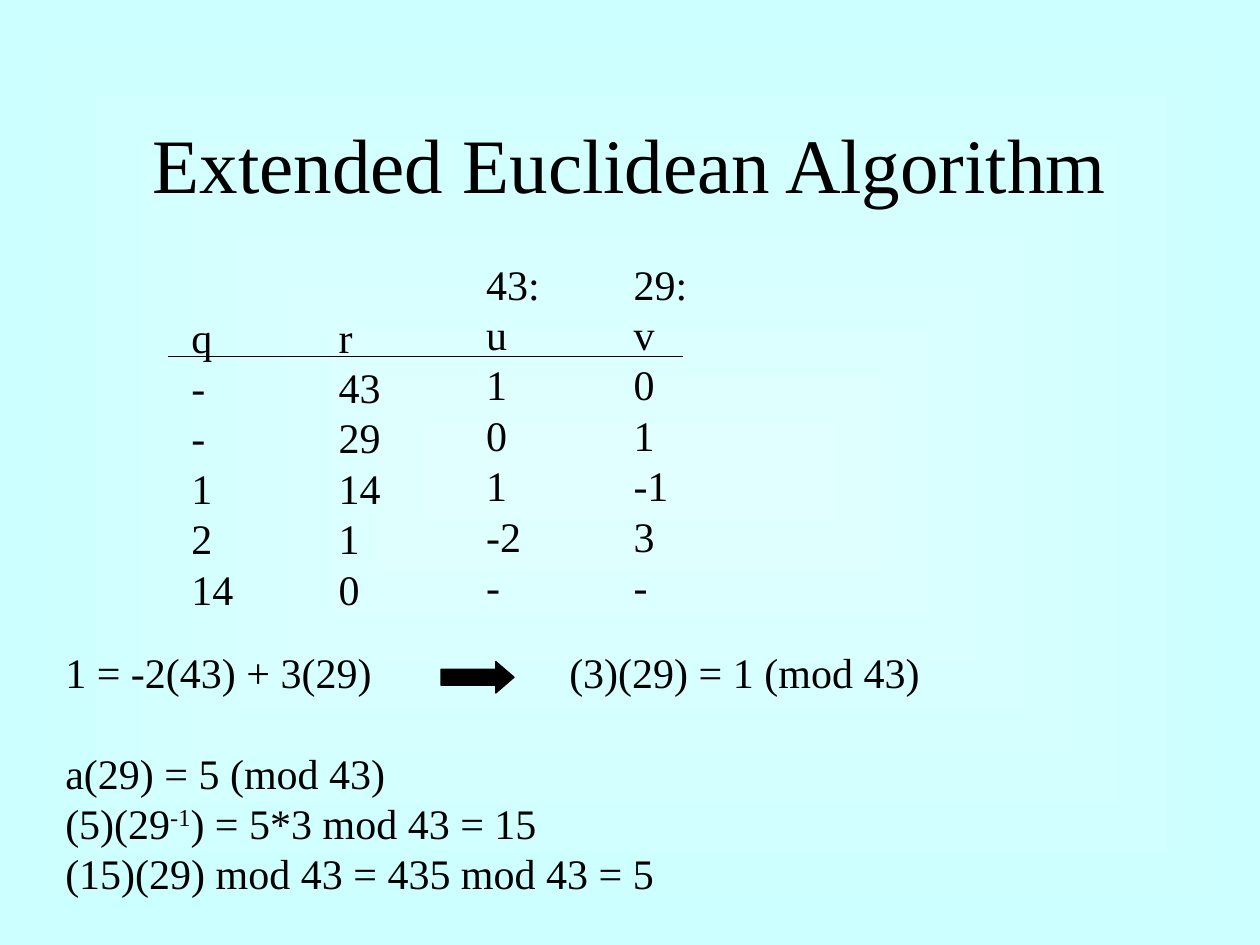
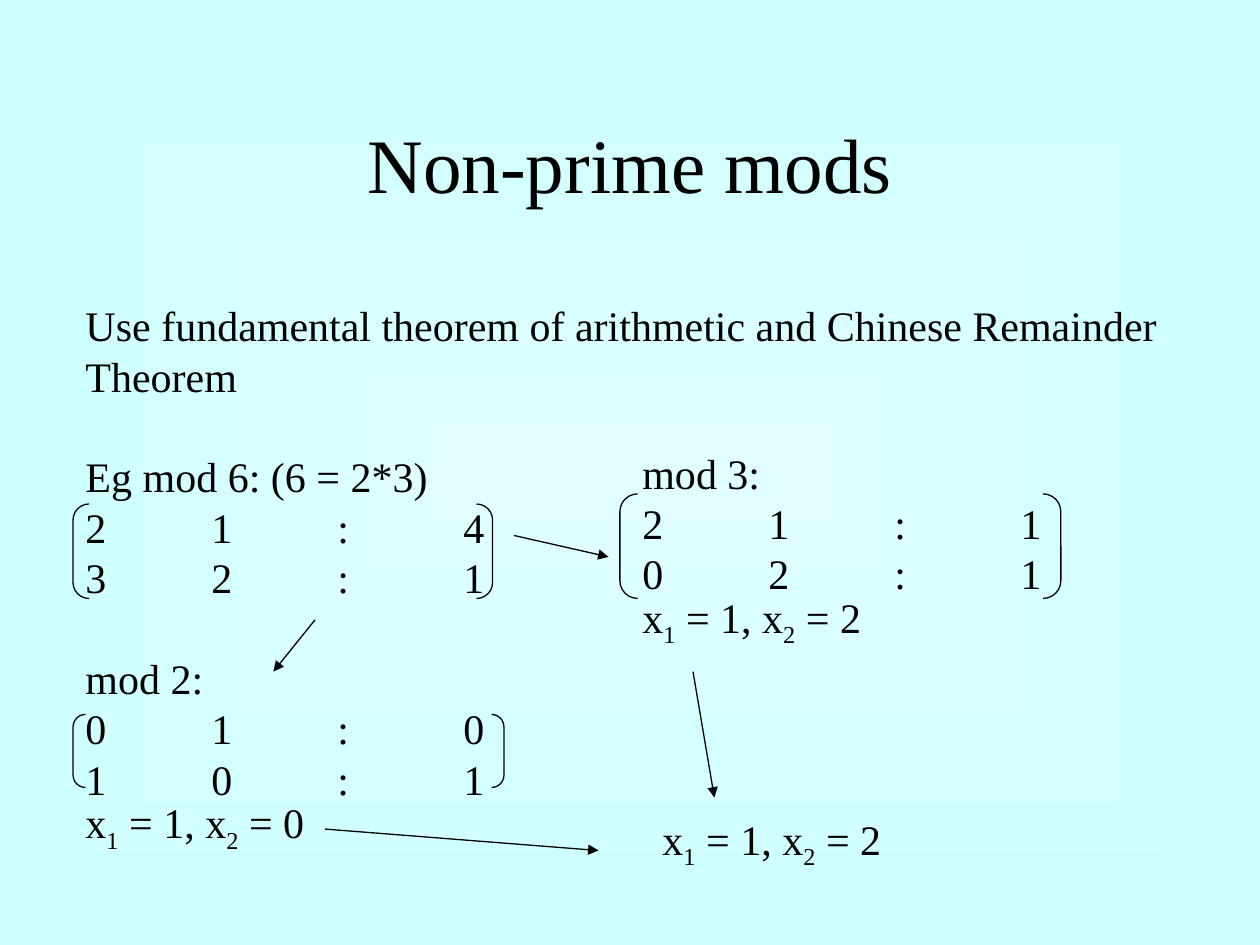
from dataclasses import dataclass

from lxml.etree import SubElement
from pptx import Presentation
from pptx.dml.color import RGBColor
from pptx.enum.shapes import MSO_CONNECTOR, MSO_SHAPE
from pptx.enum.text import MSO_ANCHOR, PP_ALIGN
from pptx.oxml.ns import qn
from pptx.util import Inches, Pt


@dataclass(frozen=True)
class Theme:
    ink: RGBColor = RGBColor(0x00, 0x00, 0x00)
    glow: RGBColor = RGBColor(0xE1, 0xFF, 0xFF)
    edge: RGBColor = RGBColor(0xCC, 0xFF, 0xFF)
    face: str = "Times New Roman"
    title: Pt = Pt(44)
    body: Pt = Pt(24)
    pitch: Pt = Pt(28.8)
    rule: Pt = Pt(0.75)


THEME = Theme()
SUB, SUPER = -25000, 30000


def inches(values):
    return [Inches(value) for value in values]


def paint_back(master):
    """Give every slide a gradient that glows from the centre."""
    fill = master.background.fill
    fill.gradient()
    for stop, color in zip(fill.gradient_stops, (THEME.glow, THEME.edge)):
        stop.color.rgb = color
    grad = master.element.find(".//" + qn("p:bg")).find(".//" + qn("a:gradFill"))
    grad.remove(grad.find(qn("a:lin")))
    shade = SubElement(grad, qn("a:path"), path="rect")
    SubElement(shade, qn("a:fillToRect"), l="50000", t="50000", r="50000", b="50000")


def style(run, size):
    run.font.name = THEME.face
    run.font.size = size
    run.font.color.rgb = THEME.ink


def add_slide(deck, title):
    slide = deck.slides.add_slide(deck.slide_layouts[5])
    head = slide.shapes.title
    head.left, head.top, head.width, head.height = inches((0.75, 0.67, 8.5, 1.25))
    frame = head.text_frame
    frame.text = title
    frame.vertical_anchor = MSO_ANCHOR.MIDDLE
    frame.paragraphs[0].alignment = PP_ALIGN.CENTER
    style(frame.paragraphs[0].runs[0], THEME.title)
    return slide


def add_tabs(para, count=4):
    """Set left tab stops one inch apart."""
    tabs = SubElement(para._p.get_or_add_pPr(), qn("a:tabLst"))
    for stop in range(1, count + 1):
        SubElement(tabs, qn("a:tab"), pos=str(Inches(stop)), algn="l")


def add_text(slide, box, lines, gaps=()):
    """Write lines, each a string or (text, baseline) parts; gaps lists lines set apart."""
    frame = slide.shapes.add_textbox(*inches(box)).text_frame
    frame.word_wrap = True
    for index, line in enumerate(lines):
        para = frame.add_paragraph() if index else frame.paragraphs[0]
        add_tabs(para)
        para.line_spacing = THEME.pitch
        para.space_before = THEME.pitch if index in gaps else Pt(0)
        parts = [(line, 0)] if isinstance(line, str) else line
        for text, shift in parts:
            run = para.add_run()
            run.text = text
            style(run, THEME.body)
            if shift:
                run._r.get_or_add_rPr().set("baseline", str(shift))


def roots(first, second):
    return [("x", 0), ("1", SUB), (f" = {first}, x", 0), ("2", SUB), (f" = {second}", 0)]


def add_line(slide, start, end, arrow=False):
    line = slide.shapes.add_connector(MSO_CONNECTOR.STRAIGHT, *inches(start + end))
    line.line.color.rgb = THEME.ink
    line.line.width = THEME.rule
    if arrow:
        SubElement(line.line._get_or_add_ln(), qn("a:tailEnd"), type="triangle")
    SubElement(line._element.spPr, qn("a:effectLst"))


def add_shape(slide, kind, box, tweaks, solid=False):
    shape = slide.shapes.add_shape(kind, *inches(box))
    shape.shadow.inherit = False
    for index, tweak in enumerate(tweaks):
        shape.adjustments[index] = tweak
    if solid:
        shape.fill.solid()
        shape.fill.fore_color.rgb = THEME.ink
    else:
        shape.fill.background()
    shape.line.color.rgb = THEME.ink
    shape.line.width = THEME.rule


def add_euclid(deck):
    slide = add_slide(deck, "Extended Euclidean Algorithm")
    columns = (
        (2.42, "q - - 1 2 14"),
        (2.42, "r 43 29 14 1 0"),
        (2, "43: u 1 0 1 -2 -"),
        (2, "29: v 0 1 -1 3 -"),
    )
    for index, (top, cells) in enumerate(columns):
        lines = cells.split()
        add_text(slide, (1.42 + index * 1.17, top, 0.8, 0.1 + 0.4 * len(lines)), lines)
    add_line(slide, (1.33, 2.83), (5.42, 2.83))
    proof = (
        "1 = -2(43) + 3(29)\t\t(3)(29) = 1 (mod 43)",
        "a(29) = 5 (mod 43)",
        [("(5)(29", 0), ("-1", SUPER), (") = 5*3 mod 43 = 15", 0)],
        "(15)(29) mod 43 = 435 mod 43 = 5",
    )
    add_text(slide, (0.42, 5.08, 7.2, 2.1), proof, gaps=(1,))
    add_shape(slide, MSO_SHAPE.RIGHT_ARROW, (3.5, 5.25, 0.58, 0.25), (0.5, 0.58), solid=True)


def add_mods(deck):
    slide = add_slide(deck, "Non-prime mods")
    split = (
        "Use fundamental theorem of arithmetic and Chinese Remainder Theorem",
        "Eg mod 6: (6 = 2*3)",
        "2\t1\t:\t4",
        "3\t2\t:\t1",
        "mod 2:",
        "0\t1\t:\t0",
        "1\t0\t:\t1",
        roots(1, 0),
    )
    add_text(slide, (0.58, 2.33, 8.92, 4.56), split, gaps=(1, 4))
    third = ("mod 3:", "2\t1\t:\t1", "0\t2\t:\t1", roots(1, 2))
    add_text(slide, (5, 3.5, 3.6, 1.76), third)
    add_text(slide, (5.16, 6.46, 2.1, 0.56), [roots(1, 2)])
    arrows = (
        ((4.08, 4.25), (4.83, 4.42)),
        ((2.5, 4.92), (2.17, 5.33)),
        ((2.58, 6.58), (4.75, 6.75)),
        ((5.5, 5.33), (5.67, 6.33)),
    )
    for start, end in arrows:
        add_line(slide, start, end, arrow=True)
    for box in ((0.58, 4, 3.33, 0.75), (4.92, 3.92, 3.5, 0.83), (0.58, 5.67, 3.42, 0.58)):
        add_shape(slide, MSO_SHAPE.DOUBLE_BRACKET, box, (0.17,))


def main():
    deck = Presentation()
    deck.slide_width, deck.slide_height = inches((10, 7.5))
    paint_back(deck.slide_master)
    add_euclid(deck)
    add_mods(deck)
    deck.save("out.pptx")


if __name__ == "__main__":
    main()
